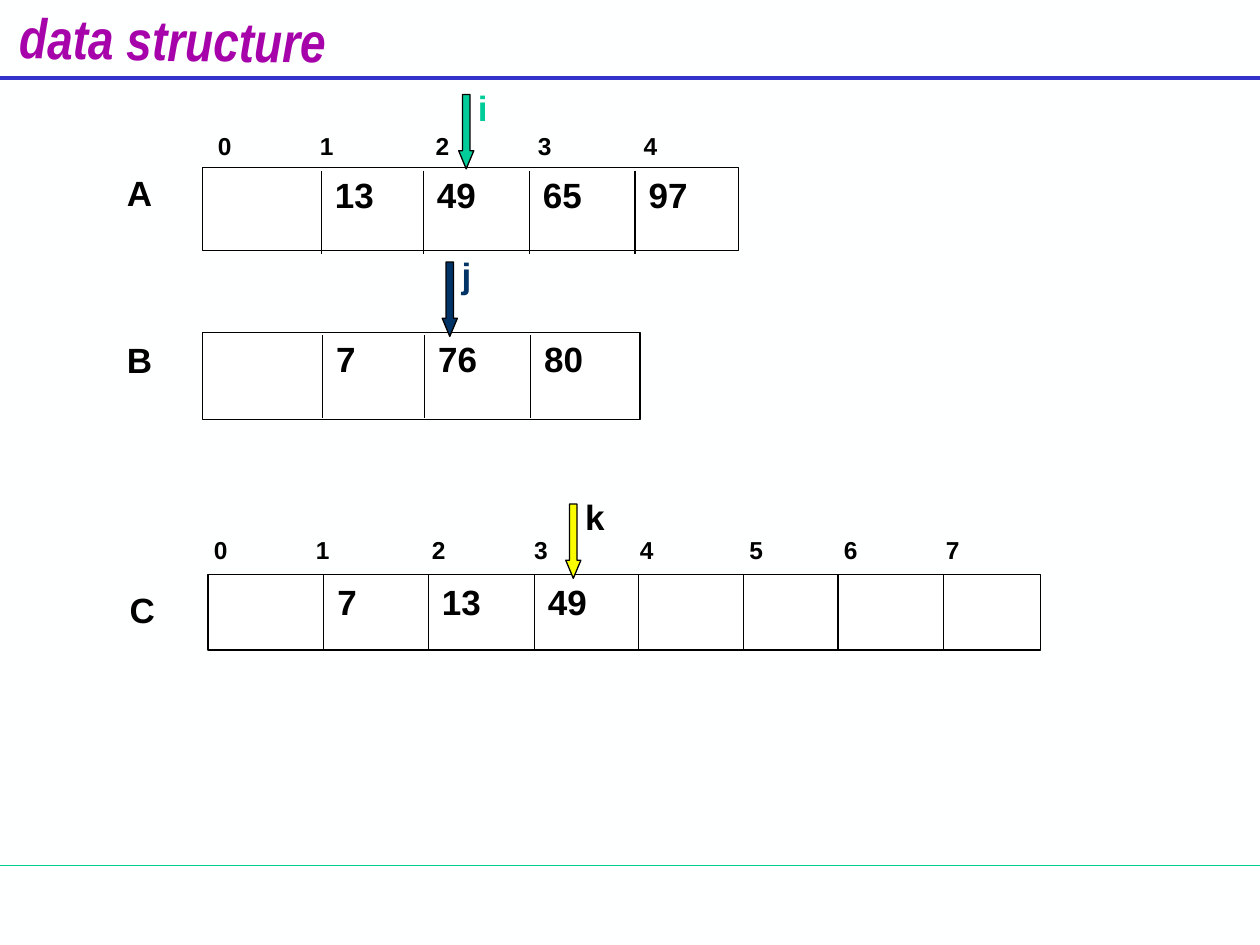
from lxml import etree
from pptx import Presentation
from pptx.dml.color import RGBColor
from pptx.enum.shapes import MSO_CONNECTOR, MSO_SHAPE
from pptx.enum.text import MSO_ANCHOR, MSO_AUTO_SIZE, PP_ALIGN
from pptx.oxml.ns import qn
from pptx.util import Inches, Pt

STRAIGHT = MSO_CONNECTOR.STRAIGHT
RECTANGLE, DOWN_ARROW = MSO_SHAPE.RECTANGLE, MSO_SHAPE.DOWN_ARROW
TOP, CENTER = MSO_ANCHOR.TOP, PP_ALIGN.CENTER
NO_FIT = MSO_AUTO_SIZE.NONE

PAPER = RGBColor(0xFE, 0xFF, 0xFF)
WHITE = RGBColor(0xFF, 0xFF, 0xFF)
BLACK = RGBColor(0x00, 0x00, 0x00)
PURPLE = RGBColor(0xA6, 0x03, 0xAB)
BLUE = RGBColor(0x33, 0x33, 0xCC)
GREEN = RGBColor(0x00, 0xCC, 0x99)
NAVY = RGBColor(0x00, 0x33, 0x66)
YELLOW = RGBColor(0xFA, 0xFD, 0x00)

deck = Presentation()
deck.slide_width, deck.slide_height = Inches(10), Inches(7.5)
COL = deck.slide_width / 100   # grid of 100 columns
ROW = deck.slide_height / 75   # and 75 rows

slide = deck.slides.add_slide(deck.slide_layouts[5])
slide.background.fill.solid()
slide.background.fill.fore_color.rgb = PAPER


def add_line(x1, y1, x2, y2, color=BLACK, width=0.75):
    line = slide.shapes.add_connector(
        STRAIGHT, round(x1 * COL), round(y1 * ROW), round(x2 * COL), round(y2 * ROW))
    line.line.color.rgb = color
    line.line.width = Pt(width)
    etree.SubElement(line._element.spPr, qn("a:effectLst"))


def add_label(shapes, text, x, y, width, height=4.4, size=20, color=BLACK):
    box = shapes.add_textbox(
        round(x * COL), round(y * ROW), round(width * COL), round(height * ROW))
    box.text_frame.word_wrap = True
    paragraph = box.text_frame.paragraphs[0]
    run = paragraph.add_run()
    run.text = text
    run.font.name, run.font.size, run.font.bold = "Arial", Pt(size), True
    run.font.color.rgb = color
    return paragraph


# Rules under the title and above the footer
add_line(0, 68.7, 100, 68.7, GREEN)
add_line(0, 6.2, 100, 6.2, BLUE, 2.25)

# Title, in a box wide enough for one line
title = slide.shapes.title
title.left, title.top = round(0.2 * COL), round(-0.1 * ROW)
title.width, title.height = round(27 * COL), round(5.4 * ROW)
title.rotation = 0.8
heading = title.text_frame
heading.margin_left = heading.margin_right = 0
heading.word_wrap, heading.auto_size = True, NO_FIT
heading.vertical_anchor = TOP
heading.paragraphs[0].alignment = CENTER
heading_run = heading.paragraphs[0].add_run()
heading_run.text = "data structure"
heading_run.font.name, heading_run.font.size = "Arial Narrow", Pt(32)
heading_run.font.bold = heading_run.font.italic = True
heading_run.font.color.rgb = PURPLE

# Arrays: name, name place, frame, divider columns, divider rows, values, value row
arrays = [
    ("A", (9.1, 13.1), (16.1, 13.3, 42.5, 6.6),
     (25.5, 33.6, 42, 50.4), (13.55, 20.15), ("13", "49", "65", "97"), 13.3),
    ("B", (9.1, 26.4), (16.1, 26.4, 34.7, 6.9),
     (25.6, 33.7, 42.1), (26.6, 33.2), ("7", "76", "80"), 26.3),
    ("C", (9.3, 46.2), (16.5, 45.6, 66.1, 6),
     (25.7, 34, 42.4, 50.7, 59, 66.5, 74.9), (45.6, 51.7), ("7", "13", "49"), 45.6),
]
for name, name_place, (x, y, w, h), dividers, (top, bottom), values, value_row in arrays:
    frame = slide.shapes.add_shape(
        RECTANGLE, round(x * COL), round(y * ROW), round(w * COL), round(h * ROW))
    frame.shadow.inherit = False
    frame.fill.solid()
    frame.fill.fore_color.rgb = WHITE
    frame.line.color.rgb = BLACK
    frame.line.width = Pt(0.75)
    for divider in dividers:
        add_line(divider, top, divider, bottom)
    for divider, value in zip(dividers, values):
        add_label(slide.shapes, value, divider + 0.1, value_row, 6.7)
    add_label(slide.shapes, name, *name_place, 6.7)

# Index rows, spaced with tab stops
index_stops = (8.1, 17.3, 25.4, 33.8, 42.5, 50, 58.1)
for x, y, width, count in [(16.3, 9.9, 42.5, 5), (16, 42, 66.6, 8)]:
    indexes = add_label(slide.shapes, "\t".join(str(i) for i in range(count)),
                        x, y, width, 3.4, size=14)
    tabs = etree.SubElement(indexes._p.get_or_add_pPr(), qn("a:tabLst"))
    for stop in index_stops[:count - 1]:
        etree.SubElement(tabs, qn("a:tab"), pos=str(round(stop * COL)), algn="l")

# Pointers: each arrow grouped with its letter
for letter, x, y, fill, letter_color in [
        ("i", 36.4, 7.5, GREEN, GREEN),
        ("j", 35.1, 20.8, NAVY, NAVY),
        ("k", 44.9, 40, YELLOW, BLACK)]:
    pointer = slide.shapes.add_group_shape()
    arrow = pointer.shapes.add_shape(
        DOWN_ARROW, round(x * COL), round(y * ROW), round(1.2 * COL), round(5.9 * ROW))
    arrow.adjustments[0], arrow.adjustments[1] = 0.5, 1.2
    arrow.shadow.inherit = False
    arrow.fill.solid()
    arrow.fill.fore_color.rgb = fill
    arrow.line.color.rgb = BLACK
    arrow.line.width = Pt(0.75)
    add_label(pointer.shapes, letter, x + 0.55, y - 1.15, 5.3, color=letter_color)

deck.save("out.pptx")
